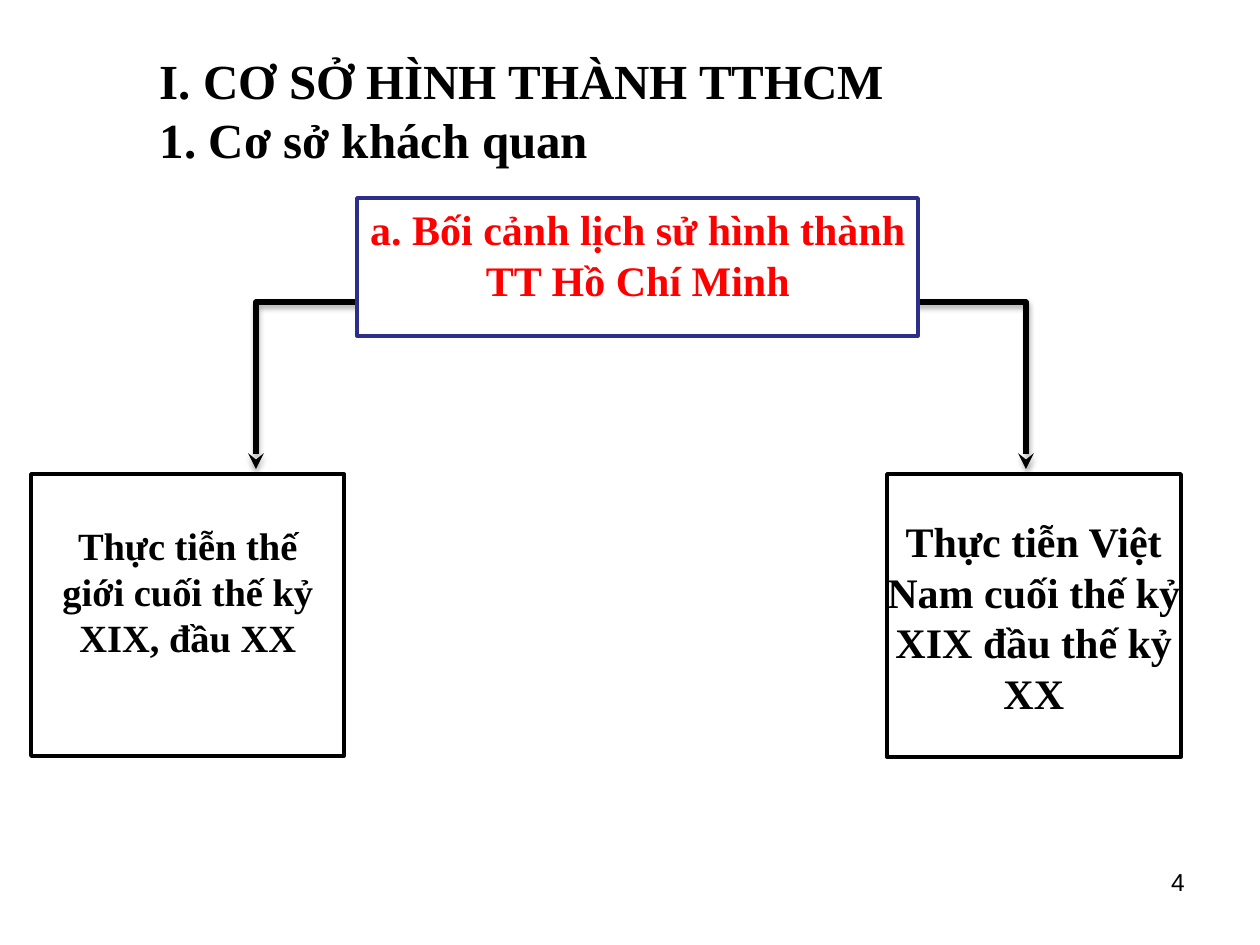
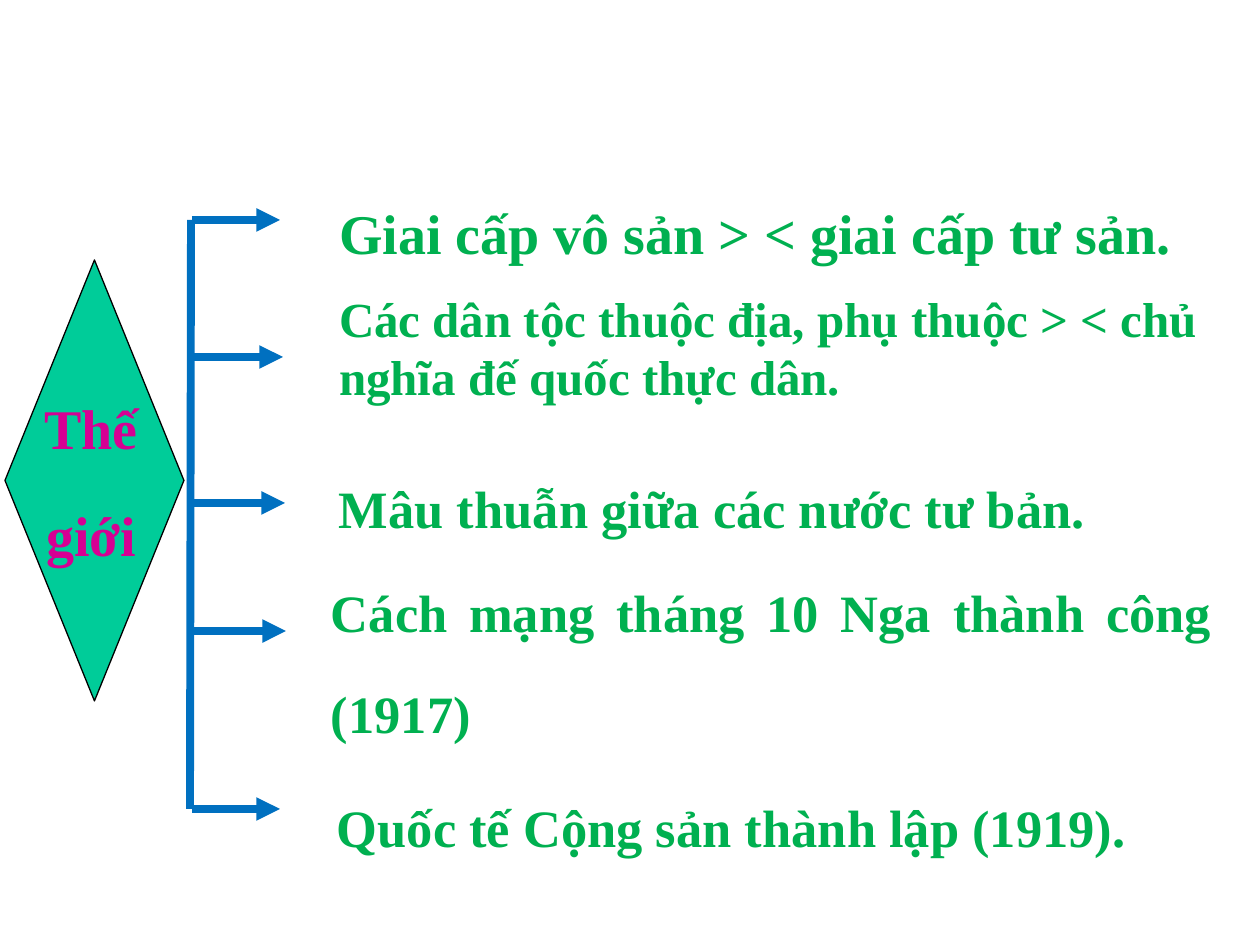
import collections

import pptx
import pptx.dml.color
import pptx.enum.shapes
import pptx.enum.text
import pptx.oxml
import pptx.oxml.ns
import pptx.util

SCALE = 914400 / 126
SERIF = "Times New Roman"
BLACK, WHITE, RED, NAVY = "000000", "FFFFFF", "FF0000", "2D2D8A"
GREEN, BLUE, TEAL, MAGENTA = "00B050", "0070C0", "00CC99", "D60093"
ALIGN = pptx.enum.text.PP_ALIGN
SHAPES = pptx.enum.shapes.MSO_SHAPE
SHADOW = ('<a:outerShdw blurRad="39370" dist="22860" dir="5400000" rotWithShape="0">'
          '<a:srgbClr val="000000"><a:alpha val="35000"/></a:srgbClr></a:outerShdw>')


class Box(collections.namedtuple("Box", "left top width height")):
    """A rectangle in px."""

    def inside(self, left, top, width, height):
        """Return a box whose corner is measured from this one."""
        return Box(self.left + left, self.top + top, width, height)


def emu(pixels):
    """Turn px into EMU."""
    return pptx.util.Emu(round(pixels * SCALE))


def color(value):
    """Turn a hex string into a colour."""
    return pptx.dml.color.RGBColor.from_string(value)


def apply(target, values):
    """Set attributes of an object from a dict."""
    for name, value in values.items():
        setattr(target, name, value)


def style_line(shape, line_color, width):
    """Colour and size an outline."""
    shape.line.color.rgb = color(line_color)
    shape.line.width = pptx.util.Pt(width)


def add_xml(parent, body):
    """Append an element of the drawing namespace."""
    name = body[1:].split("/")[0].split(">")[0].split()[0]
    declared = body.replace(name, f"{name} {pptx.oxml.ns.nsdecls('a')}", 1)
    parent.append(pptx.oxml.parse_xml(declared))


def write(shape, lines, size, text_color=BLACK, align=None, spacing=None,
          font=SERIF, bold=True, wrap=True, inset=None):
    """Write paragraphs of one style, with px insets for left and top."""
    frame = shape.text_frame
    left, top = inset or (13, 6)
    apply(frame, {"word_wrap": wrap, "margin_left": emu(left), "margin_top": emu(top),
                  "vertical_anchor": pptx.enum.text.MSO_ANCHOR.TOP})
    for index, line in enumerate(lines):
        paragraph = frame.add_paragraph() if index else frame.paragraphs[0]
        apply(paragraph, {"alignment": align, "line_spacing": spacing})
        run = paragraph.add_run()
        run.text = line
        apply(run.font, {"name": font, "size": pptx.util.Pt(size), "bold": bold})
        run.font.color.rgb = color(text_color)


def add_text(slide, box, lines, size, **style):
    """Add a text box."""
    write(slide.shapes.add_textbox(*map(emu, box)), lines, size, **style)


def add_panel(slide, box, fill=WHITE, line_color=BLACK, width=2, kind=SHAPES.RECTANGLE):
    """Add a filled, outlined shape."""
    shape = slide.shapes.add_shape(kind, *map(emu, box))
    shape.shadow.inherit = False
    shape.fill.solid()
    shape.fill.fore_color.rgb = color(fill)
    style_line(shape, line_color, width)
    return shape


def add_line(slide, start, end, arrow=False):
    """Add a thick blue line, with an arrowhead if asked."""
    line = slide.shapes.add_connector(
        pptx.enum.shapes.MSO_CONNECTOR.STRAIGHT, *map(emu, start + end))
    style_line(line, BLUE, 4.5)
    if arrow:
        add_xml(line.line._get_or_add_ln(), '<a:tailEnd type="triangle"/>')
    add_xml(line._element.spPr, "<a:effectLst/>")


def add_fork(slide, box):
    """Draw the two-headed elbow that joins the root to its branches."""
    right, bottom = box.left + box.width, box.top + box.height
    builder = slide.shapes.build_freeform(box.left, bottom, SCALE)
    builder.add_line_segments(
        [(box.left, box.top), (right, box.top), (right, bottom)], close=False)
    fork = builder.convert_to_shape()
    fork.fill.background()
    style_line(fork, BLACK, 3)
    for end in ("headEnd", "tailEnd"):
        add_xml(fork.line._get_or_add_ln(), f'<a:{end} type="stealth"/>')
    add_xml(fork._element.spPr, f"<a:effectLst>{SHADOW}</a:effectLst>")


def add_heading(slide, box):
    """Write the section title."""
    add_text(slide, box, ["I. CƠ SỞ HÌNH THÀNH TTHCM", "1. Cơ sở khách quan"], 28,
             inset=(97, 6))


def add_context_tree(slide, box):
    """Draw the root topic with its two branches."""
    add_fork(slide, box.inside(225, 104, 770, 167))
    root = add_panel(slide, box.inside(326, 0, 561, 138), line_color=NAVY)
    write(root, ["a. Bối cảnh lịch sử hình thành", "TT Hồ Chí Minh"], 24,
          text_color=RED, align=ALIGN.CENTER, wrap=False)
    world = add_panel(slide, box.inside(0, 276, 313, 282))
    write(world, ["Thực tiễn thế giới cuối thế kỷ XIX, đầu XX"], 22,
          align=ALIGN.CENTER, inset=(13, 48))
    add_panel(slide, box.inside(856, 276, 294, 283))
    add_text(slide, box.inside(840, 262, 325, 267),
             ["Thực tiễn Việt Nam cuối thế kỷ XIX đầu thế kỷ XX"], 24,
             align=ALIGN.CENTER, inset=(13, 56))


def add_world_diamond(slide, box):
    """Draw the diamond that names the topic."""
    add_panel(slide, box, fill=TEAL, width=0.75, kind=SHAPES.DIAMOND)
    add_text(slide, box.inside(-7, 87, 186, 229), ["Thế giới"], 32,
             text_color=MAGENTA, align=ALIGN.CENTER, spacing=1.6)


def add_world_events(slide, box):
    """Draw the spine with an arrow and a statement for each event."""
    wide = {"align": ALIGN.JUSTIFY, "spacing": 1.6}
    events = [
        (0, 3, 88, (137, -61, 1164, 115), 32, {"spacing": 1.5},
         "Giai cấp vô sản > < giai cấp tư sản."),
        (137, 0, 94, (137, 62, 965, 130), 28, {},
         "Các dân tộc thuộc địa, phụ thuộc > < chủ nghĩa đế quốc thực dân."),
        (283, 2, 94, (137, 212, 892, 102), 30, wide,
         "Mâu thuẫn giữa các nước tư bản."),
        (411, 3, 94, (129, 316, 906, 217), 30, wide,
         "Cách mạng tháng 10 Nga thành công (1917)"),
        (589, 3, 88, (135, 531, 1048, 115), 30, wide,
         "Quốc tế Cộng sản thành lập (1919)."),
    ]
    add_line(slide, (box.left + 2, box.top), (box.left + 1, box.top + box.height))
    for offset, indent, length, text_box, size, style, text in events:
        start, level = box.left + indent, box.top + offset
        add_line(slide, (start, level), (start + length, level), arrow=True)
        add_text(slide, box.inside(*text_box), [text], size, text_color=GREEN, **style)


def add_page_number(slide, box, number):
    """Write the page number."""
    add_text(slide, box, [number], 14, align=ALIGN.RIGHT, font="Arial", bold=False)


def build_context_slide(slide):
    """Lay out the historical context slide."""
    add_heading(slide, Box(63, 45, 1134, 150))
    add_context_tree(slide, Box(31, 198, 1150, 559))
    add_page_number(slide, Box(903, 861, 294, 66), "4")


def build_world_slide(slide):
    """Lay out the world situation slide."""
    add_world_diamond(slide, Box(5, 260, 179, 441))
    add_world_events(slide, Box(189, 220, 1000, 589))


def main():
    """Build and save the presentation."""
    presentation = pptx.Presentation()
    apply(presentation, {"slide_width": emu(1260), "slide_height": emu(945)})
    for build in (build_context_slide, build_world_slide):
        build(presentation.slides.add_slide(presentation.slide_layouts[6]))
    presentation.save("out.pptx")


if __name__ == "__main__":
    main()
